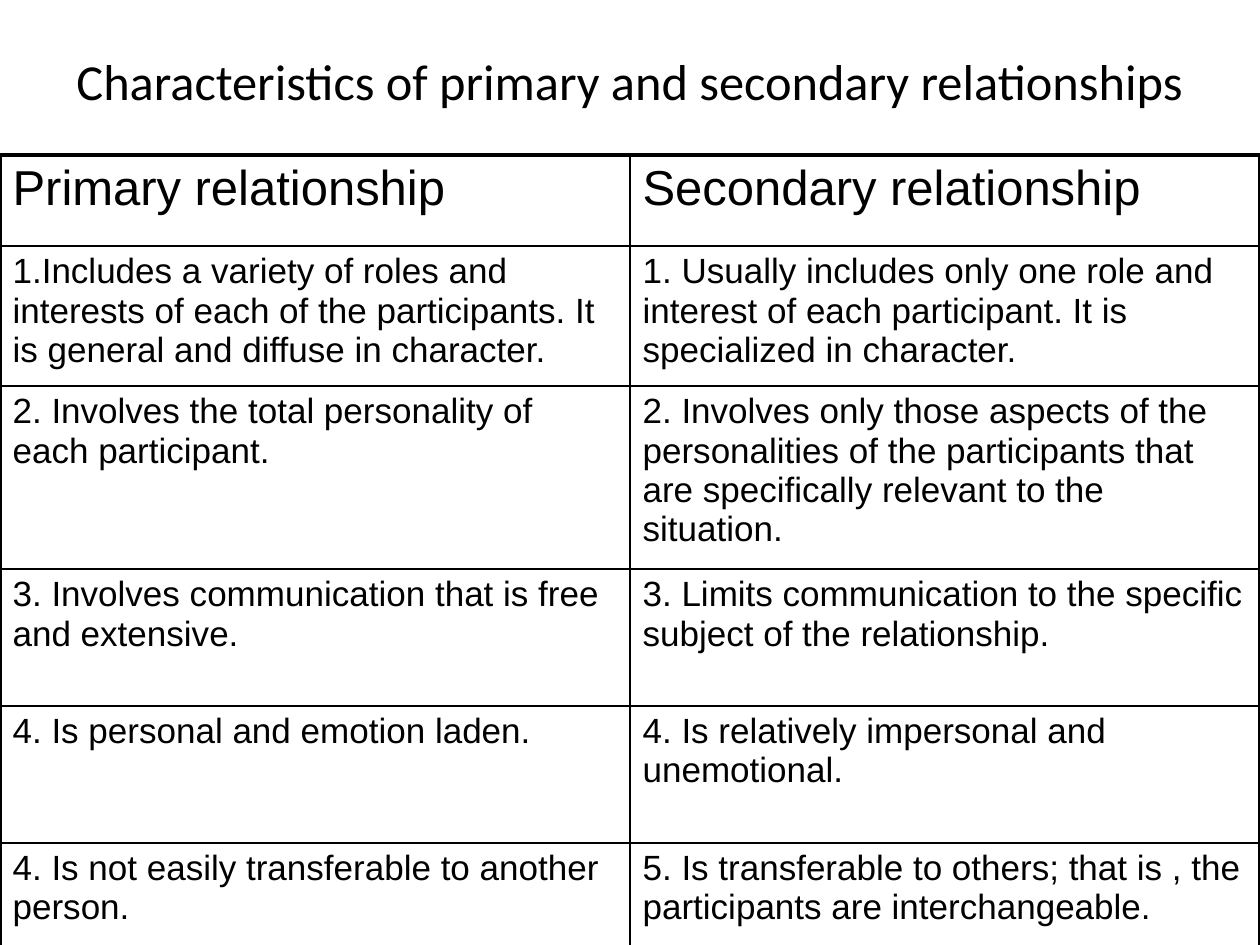
"""Build a slide that compares primary and secondary relationships in a table."""
from dataclasses import dataclass

import pptx
import pptx.dml.color
import pptx.enum.text
import pptx.oxml
import pptx.oxml.ns
import pptx.util

SCALE = 914400 / 126
BLACK = pptx.dml.color.RGBColor(0, 0, 0)
WHITE = pptx.dml.color.RGBColor(255, 255, 255)
THIN, THICK = 1, 2.25
TITLE = "Characteristics of primary and secondary relationships"


@dataclass
class Row:
    """One row of the table: its height in px and its two texts."""

    height: int
    left: str
    right: str
    size: float = 20


ROWS = [
    Row(91, "Primary relationship", "Secondary relationship", 28),
    Row(140,
        "1.Includes a variety of roles and interests of each of the participants. "
        "It is general and diffuse in character.",
        "1. Usually includes only one role and interest of each participant. "
        "It is specialized in character."),
    Row(183,
        "2. Involves the total personality of each participant.",
        "2. Involves only those aspects of the personalities of the participants "
        "that are specifically relevant to the situation."),
    Row(137,
        "3. Involves communication that is free and extensive.",
        "3. Limits communication to the specific subject of the relationship."),
    Row(137,
        "4. Is personal and emotion laden.",
        "4. Is relatively impersonal and unemotional."),
    Row(117,
        "4. Is not easily transferable to another person.",
        "5. Is transferable to others; that is , the participants are interchangeable."),
]


def px(length: int) -> int:
    """Turn px into EMU."""
    return pptx.util.Emu(round(length * SCALE))


def write(frame, text: str, *, size: float, font: str = "Arial", align=None) -> None:
    """Put formatted text into a text frame."""
    frame.word_wrap = True
    para = frame.paragraphs[0]
    para.alignment = align
    run = para.add_run()
    run.text = text
    run.font.size = pptx.util.Pt(size)
    run.font.name = font
    run.font.color.rgb = BLACK


def edge(cell, widths: dict[str, float]) -> None:
    """Draw the borders of a cell, given as side and width in points."""
    props = cell._tc.get_or_add_tcPr()
    for spot, (side, width) in enumerate(widths.items()):
        line = pptx.oxml.parse_xml(
            f'<a:ln{side} {pptx.oxml.ns.nsdecls("a")} w="{pptx.util.Pt(width)}">'
            f'<a:solidFill><a:srgbClr val="{BLACK}"/></a:solidFill></a:ln{side}>')
        props.insert(spot, line)


def add_title(slide) -> None:
    """Add the title line."""
    box = slide.shapes.add_textbox(px(63), px(38), px(1134), px(157))
    frame = box.text_frame
    frame.margin_top = px(12)
    frame.vertical_anchor = pptx.enum.text.MSO_ANCHOR.TOP
    write(frame, TITLE, size=28.8, font="Calibri",
          align=pptx.enum.text.PP_ALIGN.CENTER)


def add_grid(slide, rows: list[Row]) -> None:
    """Add the table with thick outer and thin inner borders."""
    total = sum(row.height for row in rows)
    table = slide.shapes.add_table(
        len(rows), 2, 0, px(155), px(1260), px(total)).table
    table.first_row = table.horz_banding = False
    last = len(rows) - 1
    for i, row in enumerate(rows):
        table.rows[i].height = px(row.height)
        for j, text in enumerate((row.left, row.right)):
            cell = table.cell(i, j)
            cell.fill.solid()
            cell.fill.fore_color.rgb = WHITE
            write(cell.text_frame, text, size=row.size)
            edge(cell, {
                "L": THICK if j == 0 else THIN,
                "R": THICK if j == 1 else THIN,
                "T": THICK if i == 0 else THIN,
                "B": THICK if i == last else THIN,
            })


def main() -> None:
    """Build and save the slide."""
    deck = pptx.Presentation()
    deck.slide_width, deck.slide_height = px(1260), px(945)
    slide = deck.slides.add_slide(deck.slide_layouts[6])
    add_title(slide)
    add_grid(slide, ROWS)
    deck.save("out.pptx")


if __name__ == "__main__":
    main()
